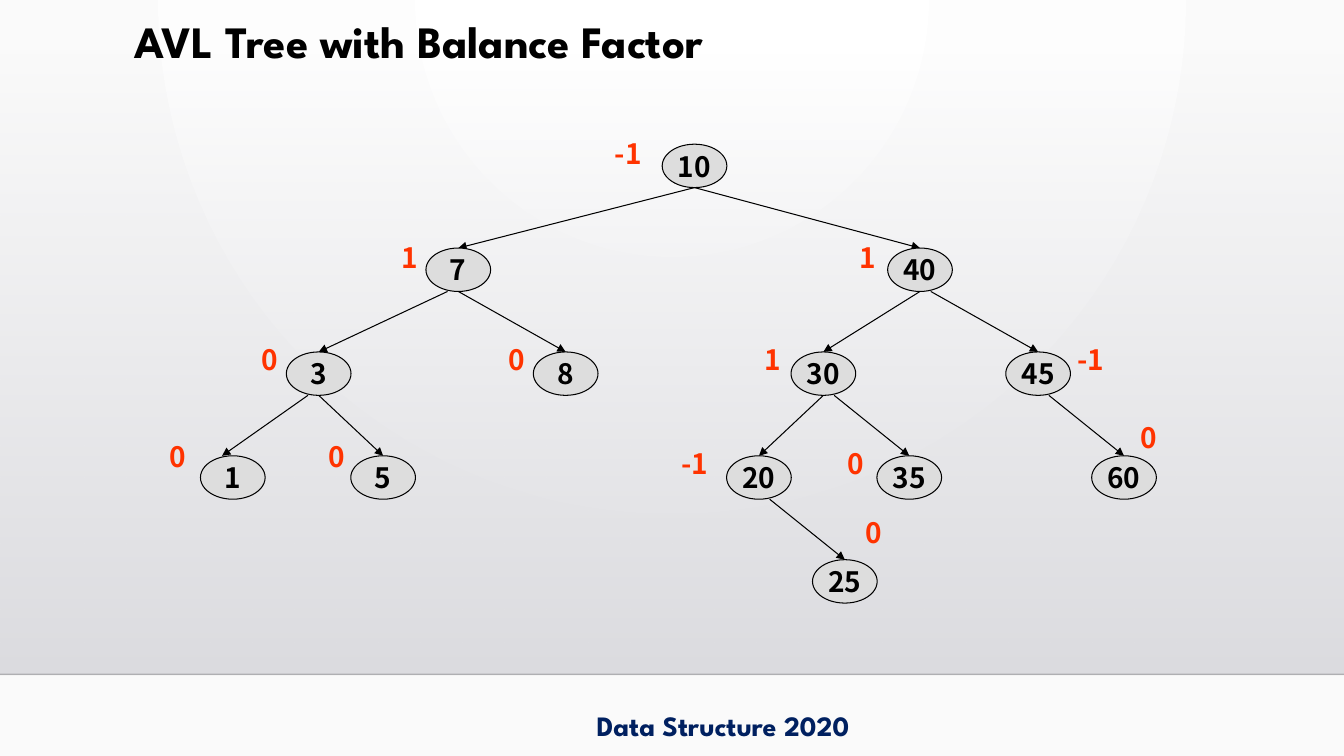
from typing import NamedTuple

from lxml import etree
from pptx import Presentation
from pptx.dml.color import RGBColor
from pptx.enum.shapes import MSO_CONNECTOR, MSO_SHAPE
from pptx.enum.text import MSO_ANCHOR, PP_ALIGN
from pptx.oxml.ns import qn
from pptx.util import Pt

STRAIGHT = MSO_CONNECTOR.STRAIGHT
RECT, OVAL = MSO_SHAPE.RECTANGLE, MSO_SHAPE.OVAL
TOP, MIDDLE = MSO_ANCHOR.TOP, MSO_ANCHOR.MIDDLE
LEFT, CENTER = PP_ALIGN.LEFT, PP_ALIGN.CENTER

SLIDE_W, SLIDE_H = 960, 540
HEADING_FONT, TREE_FONT = "League Spartan", "Noto Sans CJK KR"
COLORS = {
    "white": "FFFFFF", "paper": "FAFAFA",
    "shade_top": "DCDCE0", "shade_bottom": "DEDEE2",
    "rule": "000001", "footer": "002060", "ink": "000000",
    "node": "DDDDDD", "balance": "FF3300",
}

NODE_W, NODE_H = 46.2, 31
COLUMN, ROW = 7.67, 74.2


class Node(NamedTuple):
    """Shifts are in columns; dx and dy place the balance label from the node's corner."""
    column: int
    level: int
    balance: str
    dx: float
    dy: float
    parent: str = ""
    start_shift: int = 0
    end_shift: int = 0


TREE = {
    "10": Node(43, 0, "-1", -41, -9),
    "40": Node(64, 1, "1", -27.5, -9, "10"),
    "30": Node(55, 2, "1", -26, -10, "40"),
    "45": Node(75, 2, "-1", 44, -10, "40", 1),
    "20": Node(49, 3, "-1", -39.5, -10, "30"),
    "35": Node(63, 3, "0", -28, -10, "30", 1),
    "25": Node(57, 4, "0", 31, -35, "20", 1),
    "60": Node(83, 3, "0", 28, -29, "45", 1),
    "7": Node(21, 1, "1", -24.5, -9, "10"),
    "3": Node(8, 2, "0", -24.5, -10, "7", -1),
    "8": Node(31, 2, "0", -25, -10, "7"),
    "1": Node(0, 3, "0", -29.5, -15, "3", -1, -1),
    "5": Node(14, 3, "0", -23, -15, "3"),
}


def rgb(name):
    return RGBColor.from_string(COLORS[name])


def set_alpha(parent, percent):
    """Make the first colour found inside an element partly transparent."""
    color = parent.find(".//" + qn("a:srgbClr"))
    etree.SubElement(color, qn("a:alpha")).set("val", str(percent * 1000))


def set_gradient(fill, first, last):
    fill.gradient()
    for stop, name in zip(fill.gradient_stops, (first, last)):
        stop.color.rgb = rgb(name)


def write(sp, text, font=TREE_FONT, size=20, color="ink", align=LEFT,
          anchor=TOP, wrap=True):
    tf = sp.text_frame
    tf.word_wrap = wrap
    tf.vertical_anchor = anchor
    p = tf.paragraphs[0]
    p.alignment = align
    r = p.add_run()
    r.text = text
    r.font.name = font
    r.font.size = Pt(size)
    r.font.bold = True
    r.font.color.rgb = rgb(color)
    for tag in ("a:ea", "a:cs"):
        etree.SubElement(r.font._element, qn(tag)).set("typeface", font)


def add_text(slide, x, y, w, h, text, **fmt):
    write(slide.shapes.add_textbox(Pt(x), Pt(y), Pt(w), Pt(h)), text, **fmt)


def add_line(slide, x1, y1, x2, y2, color="ink", width=0.75):
    """Draw a line without a shadow and return its a:ln element."""
    line = slide.shapes.add_connector(STRAIGHT, Pt(x1), Pt(y1), Pt(x2), Pt(y2))
    line.line.color.rgb = rgb(color)
    line.line.width = Pt(width)
    sp_pr = line._element.spPr
    etree.SubElement(sp_pr, qn("a:effectLst"))
    return sp_pr.find(qn("a:ln"))


def paint_background(slide):
    set_gradient(slide.background.fill, "white", "paper")
    grad = slide.element.find(".//" + qn("a:gradFill"))
    grad.remove(grad.find(qn("a:lin")))
    circle = etree.SubElement(grad, qn("a:path"))
    circle.set("path", "circle")
    center = etree.SubElement(circle, qn("a:fillToRect"))
    for side, value in (("l", 43), ("t", 0), ("r", 43), ("b", 100)):
        center.set(side, str(value * 1000))


def add_shade(slide, x, y, w, h):
    """Add the grey fade and the thin rule along its lower edge."""
    sp = slide.shapes.add_shape(RECT, Pt(x), Pt(y), Pt(w), Pt(h))
    sp.shadow.inherit = False
    sp.line.fill.background()
    set_gradient(sp.fill, "shade_top", "shade_bottom")
    sp.fill.gradient_angle = 270
    set_alpha(sp._element.spPr, 0)
    set_alpha(add_line(slide, x, y + h, x + w, y + h, "rule", 1), 20)


def add_node(slide, x, y, key):
    sp = slide.shapes.add_shape(OVAL, Pt(x), Pt(y), Pt(NODE_W), Pt(NODE_H))
    sp.shadow.inherit = False
    sp.fill.solid()
    sp.fill.fore_color.rgb = rgb("node")
    sp.line.color.rgb = rgb("ink")
    sp.line.width = Pt(0.75)
    write(sp, key, align=CENTER, anchor=MIDDLE, wrap=False)


def add_tree(slide, x, y):
    """Draw edges, nodes and balance factors; x, y is the corner of column 0, level 0."""
    corners = {key: (x + n.column * COLUMN, y + n.level * ROW)
               for key, n in TREE.items()}
    for key, n in TREE.items():
        if n.parent:
            px, py = corners[n.parent]
            cx, cy = corners[key]
            ln = add_line(slide, px + NODE_W / 2 + n.start_shift * COLUMN,
                          py + NODE_H,
                          cx + NODE_W / 2 + n.end_shift * COLUMN, cy)
            etree.SubElement(ln, qn("a:tailEnd")).set("type", "triangle")
    for key, (nx, ny) in corners.items():
        add_node(slide, nx, ny, key)
    for key, n in TREE.items():
        nx, ny = corners[key]
        add_text(slide, nx + n.dx, ny + n.dy, 18 + 18 * len(n.balance), 42.5,
                 n.balance, color="balance")


def build_tree_slide(prs):
    slide = prs.slides.add_slide(prs.slide_layouts[6])
    paint_background(slide)
    add_shade(slide, 0, 36.7, SLIDE_W, 445)
    add_text(slide, 419, 502.5, 204, 31.5, "Data Structure 2020",
             font=HEADING_FONT, color="footer")
    add_text(slide, 89, 6.5, 468, 46, "AVL Tree with Balance Factor",
             font=HEADING_FONT, size=32)
    add_tree(slide, 143.2, 103)


def main():
    prs = Presentation()
    prs.slide_width, prs.slide_height = Pt(SLIDE_W), Pt(SLIDE_H)
    build_tree_slide(prs)
    prs.save("out.pptx")


if __name__ == "__main__":
    main()
